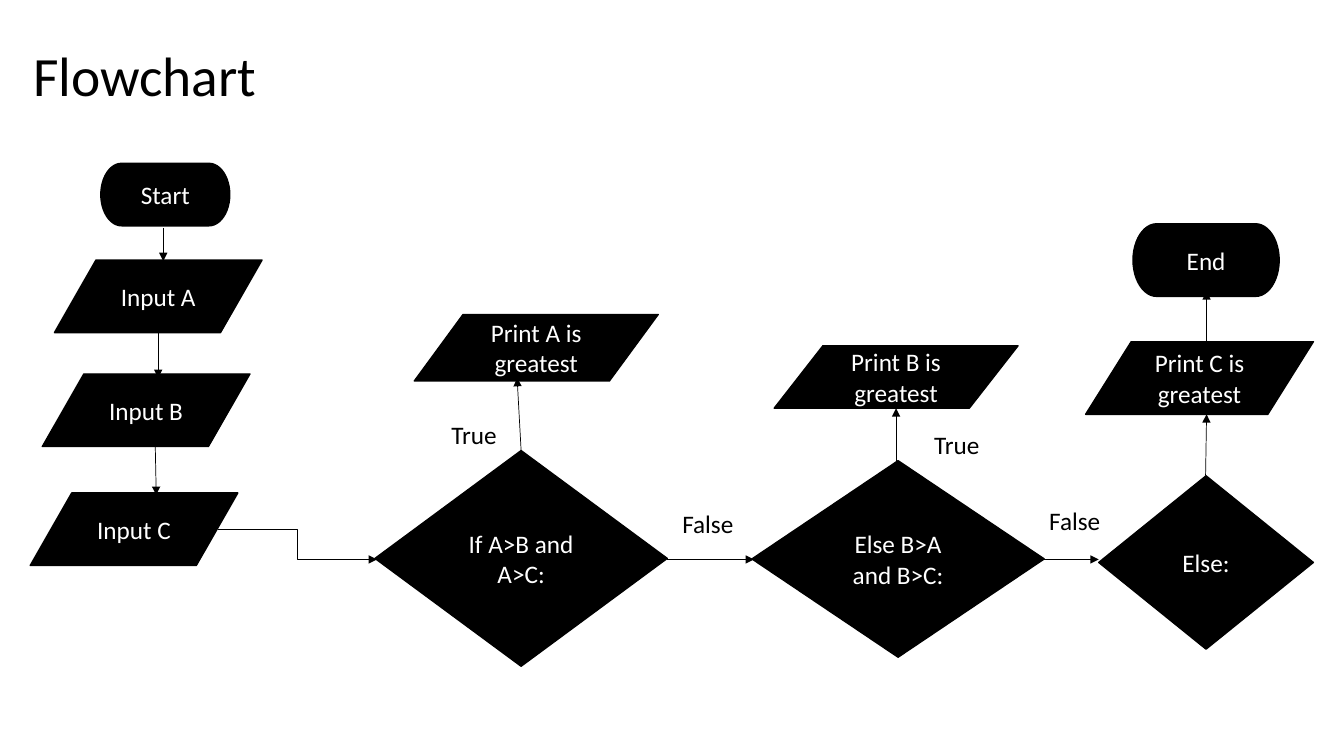
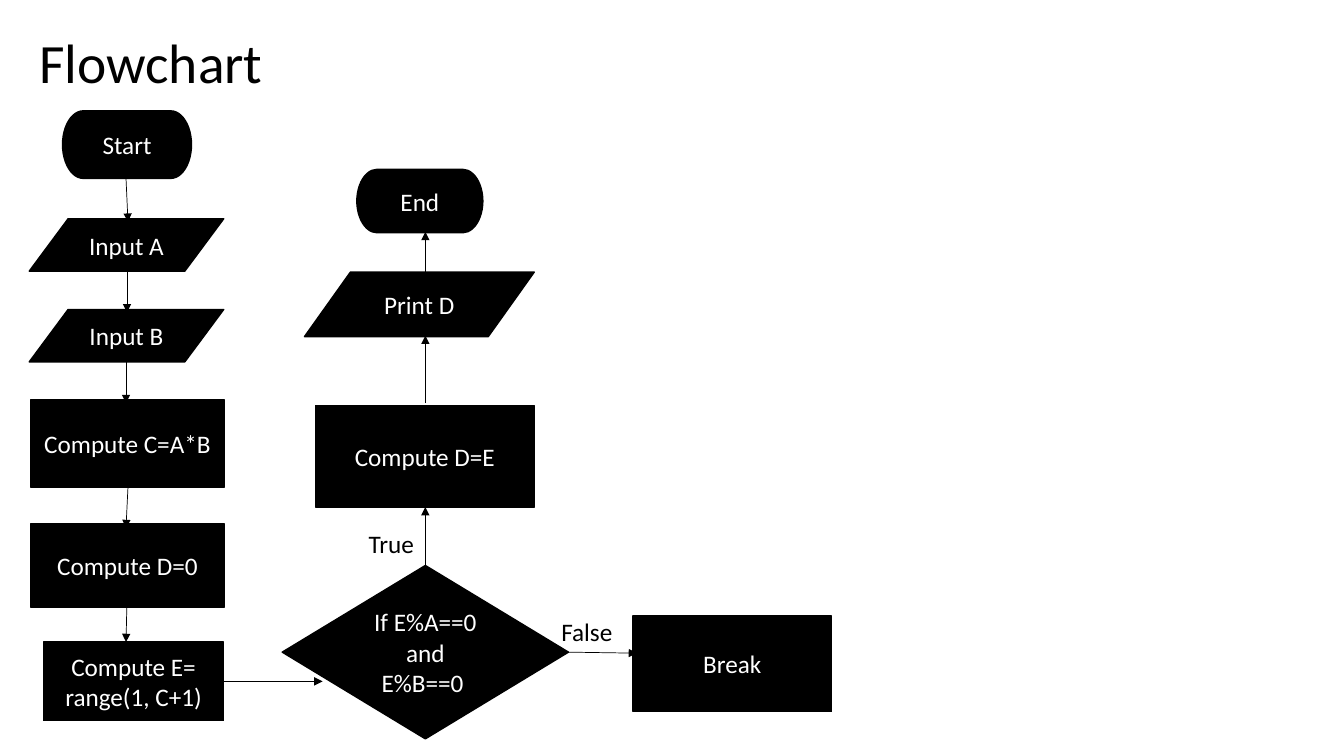
from typing import NamedTuple

from lxml.etree import SubElement
from pptx import Presentation
from pptx.dml.color import RGBColor
from pptx.enum.shapes import MSO_CONNECTOR, MSO_SHAPE
from pptx.enum.text import MSO_ANCHOR, MSO_AUTO_SIZE, PP_ALIGN
from pptx.oxml.ns import qn
from pptx.slide import Slide
from pptx.text.text import TextFrame
from pptx.util import Inches, Pt

COLORS = {"ink": "000000", "paper": "FFFFFF"}
FONT = "Calibri"
TITLE_SIZE, TEXT_SIZE = 39.6, 18
COLUMNS, ROWS = 133.33, 75  # square grid cells of a tenth of an inch
TITLE_ONLY = 5
LABEL_HEIGHT = 4

TERMINATOR = MSO_SHAPE.FLOWCHART_TERMINATOR
DATA = MSO_SHAPE.FLOWCHART_DATA
PROCESS = MSO_SHAPE.FLOWCHART_PROCESS
DECISION = MSO_SHAPE.FLOWCHART_DECISION


class Box(NamedTuple):
    left: float
    top: float
    width: float
    height: float


class Step(NamedTuple):
    kind: MSO_SHAPE
    text: str
    box: Box


class Arrow(NamedTuple):
    start: tuple[float, float]
    end: tuple[float, float]
    route: MSO_CONNECTOR = MSO_CONNECTOR.STRAIGHT


class Label(NamedTuple):
    text: str
    left: float
    top: float
    width: float


class Flowchart(NamedTuple):
    title: str
    title_box: Box
    steps: list[Step]
    arrows: list[Arrow]
    labels: list[Label]


GREATEST_OF_THREE = Flowchart(
    "Flowchart",
    Box(2.3, 4, 128.8, 7.5),
    [
        Step(TERMINATOR, "Start", Box(10, 16.2, 12.8, 6.2)),
        Step(DATA, "Input A", Box(5.4, 25.8, 20.6, 7.2)),
        Step(DATA, "Input B", Box(4.2, 37.1, 20.6, 7.2)),
        Step(DATA, "Input C", Box(3, 48.9, 20.6, 7.2)),
        Step(DECISION, "If A>B and A>C:", Box(37.2, 44.7, 29, 21.4)),
        Step(DATA, "Print A is greatest", Box(41.1, 31.2, 24.2, 6.6)),
        Step(DECISION, "Else B>A and B>C:", Box(74.6, 45.7, 29, 19.5)),
        Step(DATA, "Print B is greatest", Box(76.8, 34.3, 24.2, 6.2)),
        Step(DECISION, "Else:", Box(109, 47.2, 21.3, 17.2)),
        Step(DATA, "Print C is greatest", Box(107.7, 33.9, 22.6, 7.2)),
        Step(TERMINATOR, "End", Box(112.4, 22.2, 14.5, 7.2)),
    ],
    [
        Arrow((16.2, 22.6), (16.2, 25.9)),
        Arrow((15.7, 33), (15.7, 37.5)),
        Arrow((15.4, 44), (15.5, 49.1)),
        Arrow((21.6, 52.5), (37.4, 55.5), MSO_CONNECTOR.ELBOW),
        Arrow((51.7, 44.7), (51.3, 37.5)),
        Arrow((66.2, 55.5), (74.8, 55.5)),
        Arrow((88.9, 45.7), (88.9, 40.5)),
        Arrow((103.6, 55.5), (109, 55.5)),
        Arrow((119.6, 47.2), (119.7, 41.1)),
        Arrow((119.7, 33.9), (119.7, 28.9)),
    ],
    [
        Label("True", 43.8, 41.1, 7.1),
        Label("False", 66.7, 49.9, 8.1),
        Label("True", 91.7, 42.1, 9),
        Label("False", 103.1, 49.6, 8.1),
    ],
)

COMMON_MULTIPLE = Flowchart(
    "Flowchart",
    Box(2.9, 4, 121.3, 5.1),
    [
        Step(TERMINATOR, "Start", Box(6.2, 11, 12.8, 6.7)),
        Step(DATA, "Input A", Box(2.9, 21.7, 19.3, 5.2)),
        Step(DATA, "Input B", Box(2.9, 30.7, 19.3, 5.2)),
        Step(PROCESS, "Compute C=A*B", Box(3, 39.7, 19.3, 8.6)),
        Step(PROCESS, "Compute D=0", Box(3, 52, 19.3, 8.2)),
        Step(PROCESS, "Compute E= range(1, C+1)", Box(4.3, 63.7, 17.9, 7.8)),
        Step(DECISION, "If E%A==0 and E%B==0 ", Box(28, 56.1, 28.4, 17.2)),
        Step(PROCESS, "Compute D=E", Box(31.3, 40.2, 21.7, 10.1)),
        Step(DATA, "Print D", Box(30.2, 27, 22.8, 6.4)),
        Step(TERMINATOR, "End", Box(35.4, 16.8, 12.5, 6.3)),
        Step(PROCESS, "Break", Box(62.8, 61.1, 19.7, 9.5)),
    ],
    [
        Arrow((12.5, 17.7), (12.7, 22)),
        Arrow((12.6, 27), (12.6, 31)),
        Arrow((12.5, 35.7), (12.5, 40)),
        Arrow((12.7, 48.3), (12.5, 52.4)),
        Arrow((12.6, 59.5), (12.5, 63.7)),
        Arrow((22.2, 67.6), (32, 67.6)),
        Arrow((42.2, 56.1), (42.2, 50.3)),
        Arrow((42.2, 40), (42.2, 33.3)),
        Arrow((42.2, 27), (42.2, 23)),
        Arrow((56.4, 64.7), (63.2, 64.8)),
    ],
    [
        Label("False", 54.7, 60.7, 8),
        Label("True", 35.6, 51.9, 7),
    ],
)


def cells(count: float) -> int:
    """Length of a number of grid cells."""
    return Inches(count / 10)


def color(name: str) -> RGBColor:
    return RGBColor.from_string(COLORS[name])


def write(frame: TextFrame, text: str, size: float, color_name: str,
          alignment: PP_ALIGN = PP_ALIGN.LEFT) -> None:
    frame.word_wrap = True
    frame.text = text
    paragraph = frame.paragraphs[0]
    paragraph.alignment = alignment
    paragraph.font.name = FONT
    paragraph.font.size = Pt(size)
    paragraph.font.color.rgb = color(color_name)


def place_title(slide: Slide, text: str, box: Box) -> None:
    title = slide.shapes.title
    title.left, title.top, title.width, title.height = map(cells, box)
    frame = title.text_frame
    write(frame, text, TITLE_SIZE, "ink")
    frame.auto_size = MSO_AUTO_SIZE.NONE
    frame.vertical_anchor = MSO_ANCHOR.MIDDLE
    frame.paragraphs[0].line_spacing = 0.9


def draw_step(slide: Slide, step: Step) -> None:
    shape = slide.shapes.add_shape(step.kind, *map(cells, step.box))
    shape.shadow.inherit = False
    shape.fill.solid()
    shape.fill.fore_color.rgb = color("ink")
    shape.line.color.rgb = color("ink")
    shape.line.width = Pt(1)
    shape.text_frame.vertical_anchor = MSO_ANCHOR.MIDDLE
    write(shape.text_frame, step.text, TEXT_SIZE, "paper", PP_ALIGN.CENTER)


def draw_arrow(slide: Slide, arrow: Arrow) -> None:
    connector = slide.shapes.add_connector(
        arrow.route, *map(cells, arrow.start + arrow.end))
    connector.line.color.rgb = color("ink")
    connector.line.width = Pt(0.5)
    properties = connector._element.spPr
    SubElement(properties.find(qn("a:ln")), qn("a:tailEnd"), type="triangle")
    SubElement(properties, qn("a:effectLst"))


def draw_label(slide: Slide, label: Label) -> None:
    box = Box(label.left, label.top, label.width, LABEL_HEIGHT)
    frame = slide.shapes.add_textbox(*map(cells, box)).text_frame
    write(frame, label.text, TEXT_SIZE, "ink")
    frame.auto_size = MSO_AUTO_SIZE.SHAPE_TO_FIT_TEXT


def main() -> None:
    presentation = Presentation()
    presentation.slide_width = cells(COLUMNS)
    presentation.slide_height = cells(ROWS)
    for chart in (GREATEST_OF_THREE, COMMON_MULTIPLE):
        layout = presentation.slide_layouts[TITLE_ONLY]
        slide = presentation.slides.add_slide(layout)
        place_title(slide, chart.title, chart.title_box)
        for arrow in chart.arrows:
            draw_arrow(slide, arrow)
        for step in chart.steps:
            draw_step(slide, step)
        for label in chart.labels:
            draw_label(slide, label)
    presentation.save("out.pptx")


if __name__ == "__main__":
    main()
